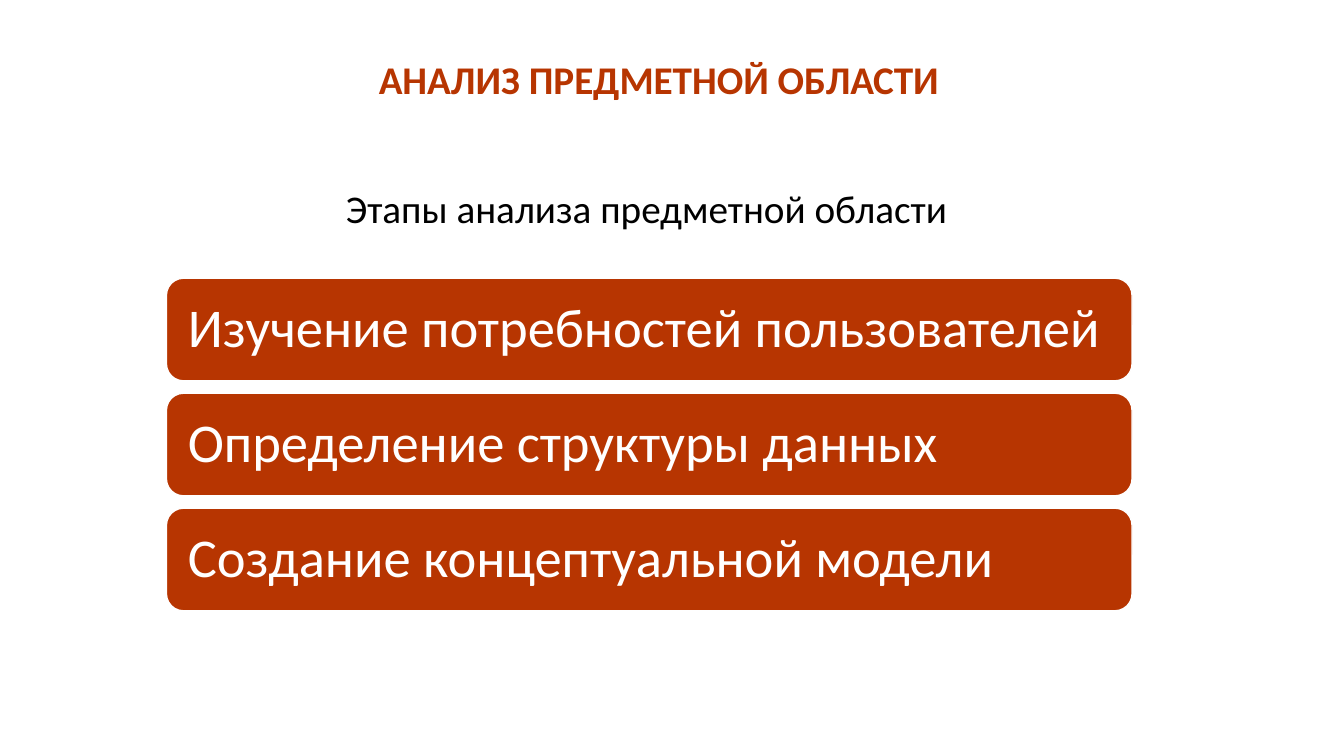
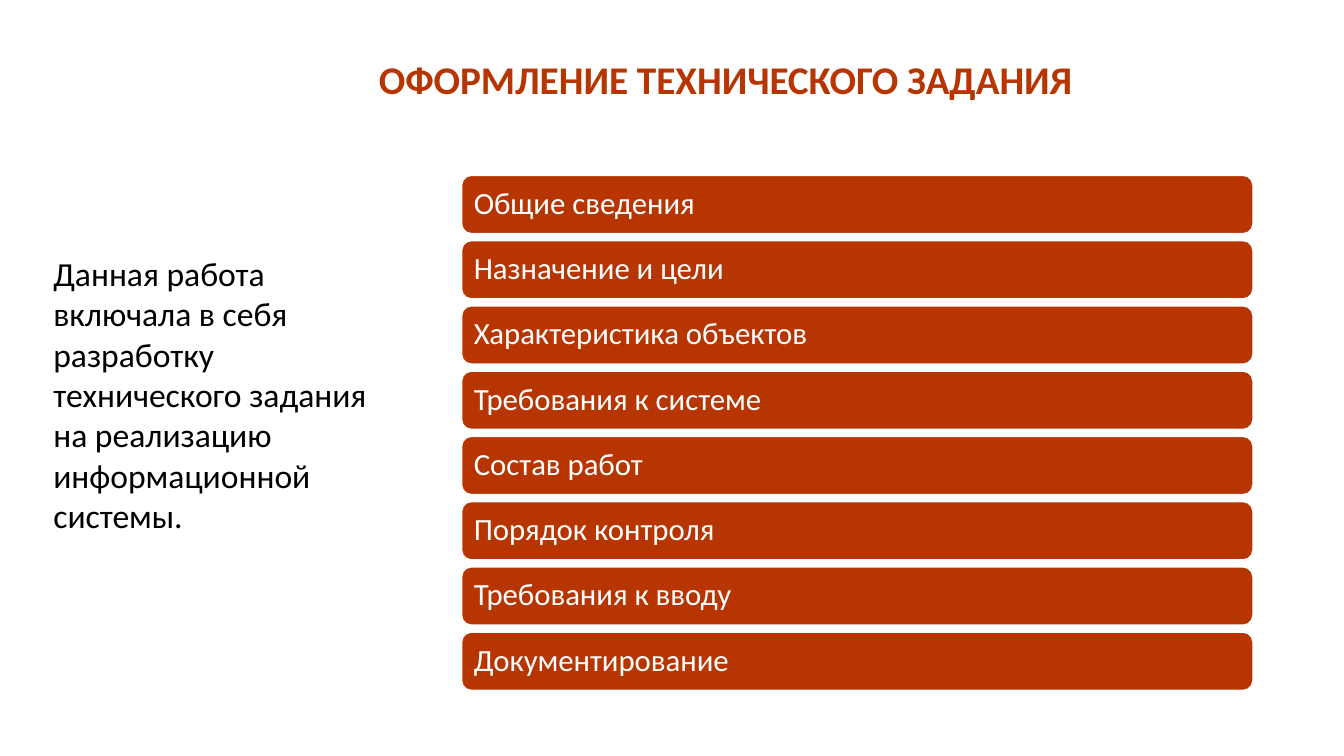
import pptx
import pptx.util
import pptx.dml.color
import pptx.enum.shapes
import pptx.enum.text

COLORS = {"accent": "B73501", "text": "000000", "paper": "FFFFFF"}
FONT = "Calibri"
WIDTH = pptx.util.Inches(13.333)
HEIGHT = pptx.util.Inches(7.5)

# Boxes are left, top, width, height in percent of the slide.
TITLE_BOX = (27.45, 3.87, 68.18, 14)
BAR_GAP = 0.12  # share of a bar's height
BAR_INSET = 0.16  # share of a bar's height


def rgb(name):
    return pptx.dml.color.RGBColor.from_string(COLORS[name])


def to_slide(box):
    """Turn a percent box into slide lengths."""
    return [round(share * side / 100)
            for share, side in zip(box, (WIDTH, HEIGHT, WIDTH, HEIGHT))]


def write(shape, text, size, color, bold=False, spacing=1.0, middle=False):
    frame = shape.text_frame
    frame.word_wrap = True
    anchor = pptx.enum.text.MSO_ANCHOR
    frame.vertical_anchor = anchor.MIDDLE if middle else anchor.TOP
    para = frame.paragraphs[0]
    para.text = text
    para.alignment = pptx.enum.text.PP_ALIGN.LEFT
    para.line_spacing = spacing
    para.font.name = FONT
    para.font.size = pptx.util.Pt(size)
    para.font.bold = bold
    para.font.color.rgb = rgb(color)


def add_text(page, box, text, size, color="text", **style):
    write(page.shapes.add_textbox(*to_slide(box)), text, size, color, **style)


def add_bars(page, box, labels, size):
    """Stack one rounded bar per label, filling the box."""
    left, top, width, height = to_slide(box)
    bar_height = round(height / (len(labels) + (len(labels) - 1) * BAR_GAP))
    inset = round(bar_height * BAR_INSET)
    for row, label in enumerate(labels):
        bar = page.shapes.add_shape(
            pptx.enum.shapes.MSO_SHAPE.ROUNDED_RECTANGLE,
            left, top + round(row * bar_height * (1 + BAR_GAP)), width, bar_height)
        bar.shadow.inherit = False
        bar.fill.solid()
        bar.fill.fore_color.rgb = rgb("accent")
        bar.line.color.rgb = rgb("paper")
        bar.line.width = pptx.util.Pt(1)
        frame = bar.text_frame
        frame.margin_left = frame.margin_right = inset
        frame.margin_top = frame.margin_bottom = inset
        write(bar, label, size, "paper", spacing=0.9, middle=True)


def add_page(deck, title):
    page = deck.slides.add_slide(deck.slide_layouts[6])
    add_text(page, TITLE_BOX, title, 28, "accent",
             bold=True, spacing=0.9, middle=True)
    return page


def add_analysis_page(deck):
    page = add_page(deck, "АНАЛИЗ ПРЕДМЕТНОЙ ОБЛАСТИ")
    add_bars(page, (12.38, 36.8, 71.85, 44), [
        "Изучение потребностей пользователей",
        "Определение структуры данных",
        "Создание концептуальной модели",
    ], 39)
    add_text(page, (25, 23.73, 49.95, 7.6), "Этапы анализа предметной области", 28)


def add_specification_page(deck):
    page = add_page(deck, "ОФОРМЛЕНИЕ ТЕХНИЧЕСКОГО ЗАДАНИЯ")
    add_text(page, (3.23, 32.8, 27.08, 39.07),
             "Данная работа включала в себя разработку технического задания "
             "на реализацию информационной системы.", 24)
    add_bars(page, (34.35, 23.2, 58.88, 68.13), [
        "Общие сведения",
        "Назначение и цели",
        "Характеристика объектов",
        "Требования к системе",
        "Состав работ",
        "Порядок контроля",
        "Требования к вводу",
        "Документирование",
    ], 22)


def main():
    deck = pptx.Presentation()
    deck.slide_width = WIDTH
    deck.slide_height = HEIGHT
    add_analysis_page(deck)
    add_specification_page(deck)
    deck.save("out.pptx")


if __name__ == "__main__":
    main()
